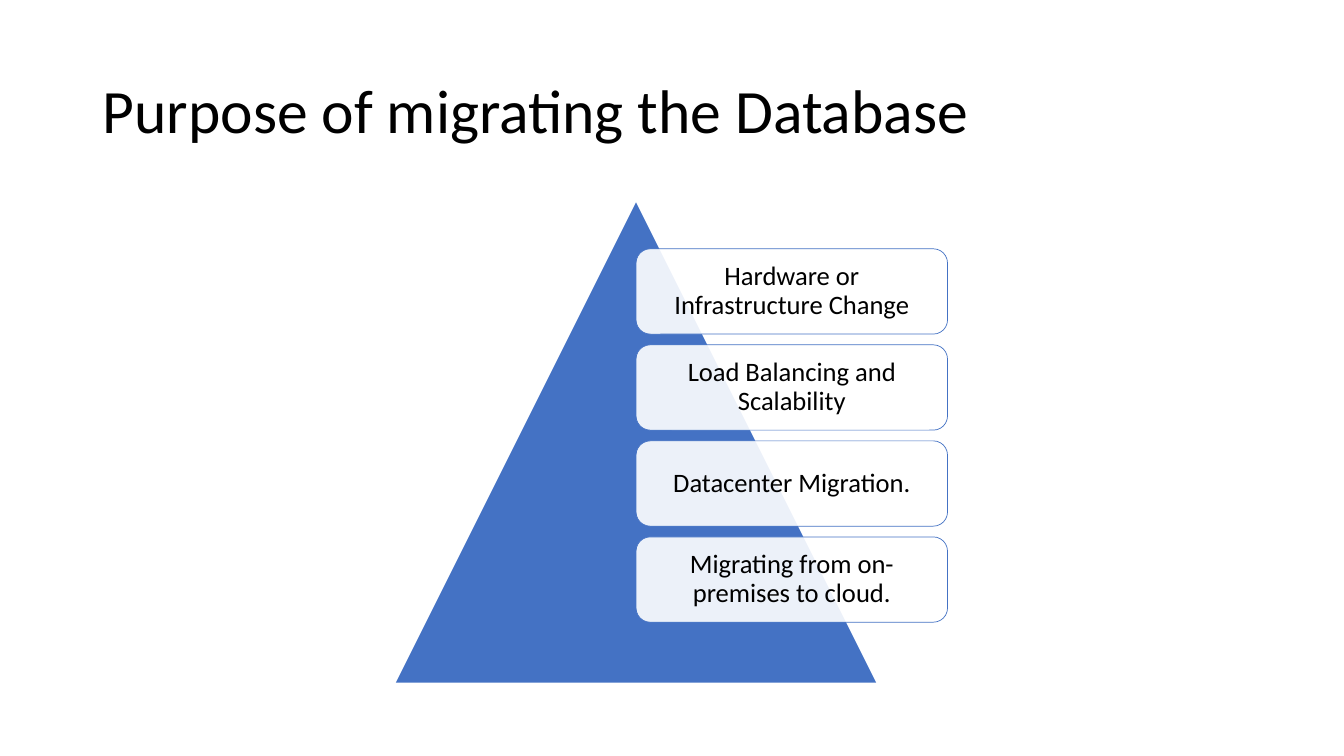
from dataclasses import dataclass

from lxml import etree
from pptx import Presentation
from pptx.dml.color import RGBColor
from pptx.enum.shapes import MSO_SHAPE
from pptx.enum.text import MSO_ANCHOR, MSO_AUTO_SIZE, PP_ALIGN
from pptx.oxml.ns import qn
from pptx.util import Cm, Pt

TRIANGLE = MSO_SHAPE.ISOSCELES_TRIANGLE
ROUNDED = MSO_SHAPE.ROUNDED_RECTANGLE
MIDDLE = MSO_ANCHOR.MIDDLE
NO_FIT = MSO_AUTO_SIZE.NONE
LEFT, CENTER = PP_ALIGN.LEFT, PP_ALIGN.CENTER

FONT = "Calibri"
BLUE, WHITE, BLACK = "4472C4", "FFFFFF", "000000"
TITLE_ONLY = 5

CARD_TOP, CARD_PITCH = 6.27, 2.42


@dataclass
class Area:
    """A rectangle on the page, in centimetres."""
    left: float
    top: float
    width: float
    height: float

    def lengths(self) -> tuple:
        return Cm(self.left), Cm(self.top), Cm(self.width), Cm(self.height)


@dataclass
class Card:
    text: str
    row: int

    def area(self) -> Area:
        return Area(16.03, CARD_TOP + self.row * CARD_PITCH, 7.85, 2.15)


PURPOSES = [
    "Hardware or Infrastructure Change",
    "Load Balancing and Scalability",
    "Datacenter Migration.",
    "Migrating from on-premises to cloud.",
]


def color(value: str) -> RGBColor:
    return RGBColor.from_string(value)


def write(box, text: str, *, size: float, align, inset: float) -> None:
    frame = box.text_frame
    frame.word_wrap = True
    frame.auto_size = NO_FIT
    frame.vertical_anchor = MIDDLE
    frame.margin_left = frame.margin_right = Cm(inset)
    frame.margin_top = frame.margin_bottom = Cm(0.13)
    para = frame.paragraphs[0]
    para.alignment = align
    para.line_spacing = 0.9
    span = para.add_run()
    span.text = text
    span.font.name = FONT
    span.font.size = Pt(size)
    span.font.color.rgb = color(BLACK)


def add_block(page, kind, area: Area, *, fill: str, opacity: int = 100,
              line: str | None = None):
    box = page.shapes.add_shape(kind, *area.lengths())
    box.shadow.inherit = False
    box.fill.solid()
    box.fill.fore_color.rgb = color(fill)
    if opacity < 100:
        tint = box.fill._xPr.find(qn("a:solidFill"))[0]
        etree.SubElement(tint, qn("a:alpha"), val=str(opacity * 1000))
    if line:
        box.line.color.rgb = color(line)
        box.line.width = Pt(0.5)
    else:
        box.line.fill.background()
    return box


def add_card(page, card: Card) -> None:
    box = add_block(page, ROUNDED, card.area(), fill=WHITE, opacity=90, line=BLUE)
    write(box, card.text, size=19, align=CENTER, inset=0.3)


def main() -> None:
    deck = Presentation()
    deck.slide_width, deck.slide_height = Cm(33.87), Cm(19.05)
    page = deck.slides.add_slide(deck.slide_layouts[TITLE_ONLY])

    # Title
    title = page.shapes.title
    title.left, title.top, title.width, title.height = Area(
        2.34, 1.02, 29.21, 3.68).lengths()
    write(title, "Purpose of migrating the Database", size=44, align=LEFT, inset=0.25)

    # Pyramid with its cards
    add_block(page, TRIANGLE, Area(9.98, 5.1, 12.1, 12.1), fill=BLUE)
    for row, text in enumerate(PURPOSES):
        add_card(page, Card(text, row))

    deck.save("out.pptx")


if __name__ == "__main__":
    main()
